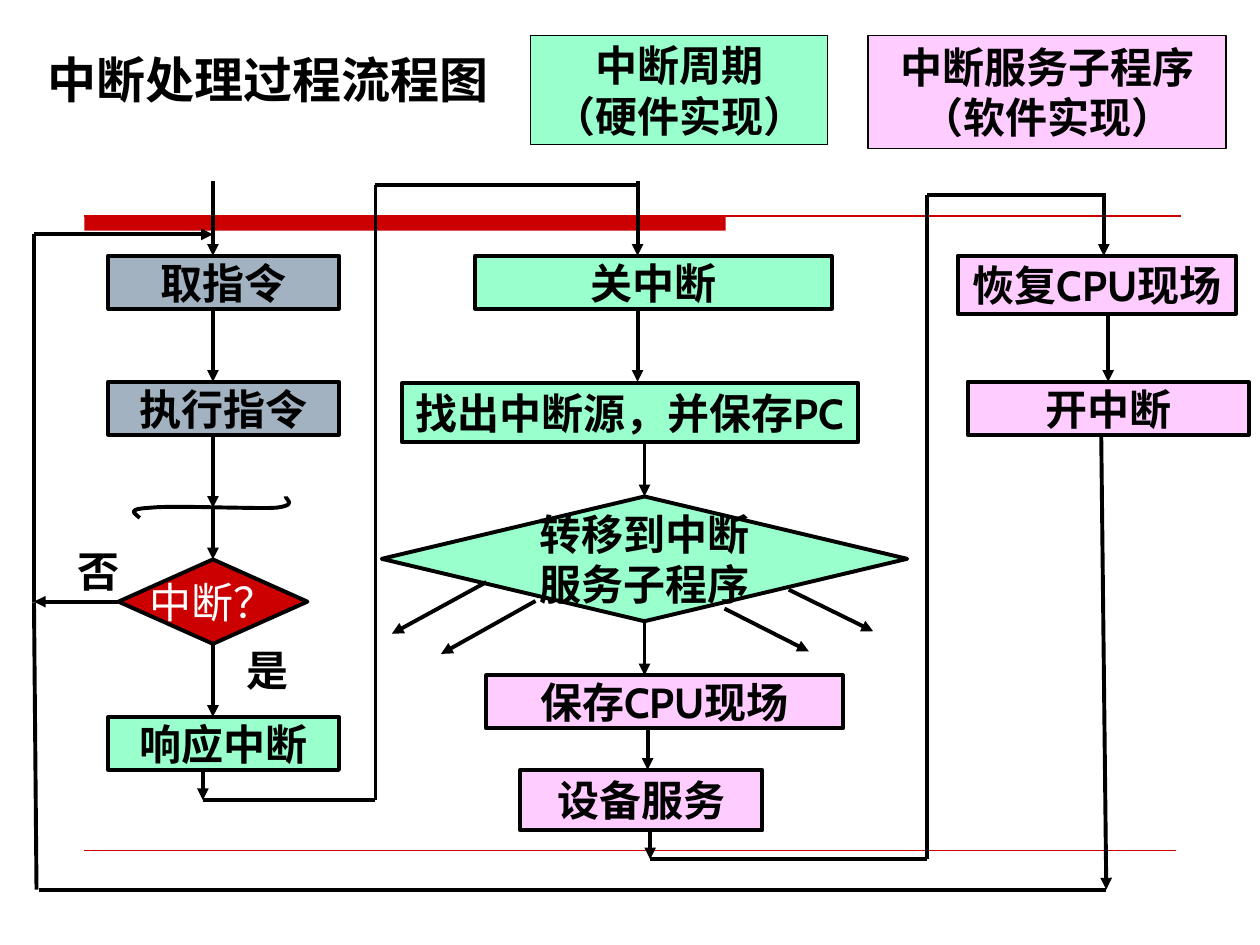
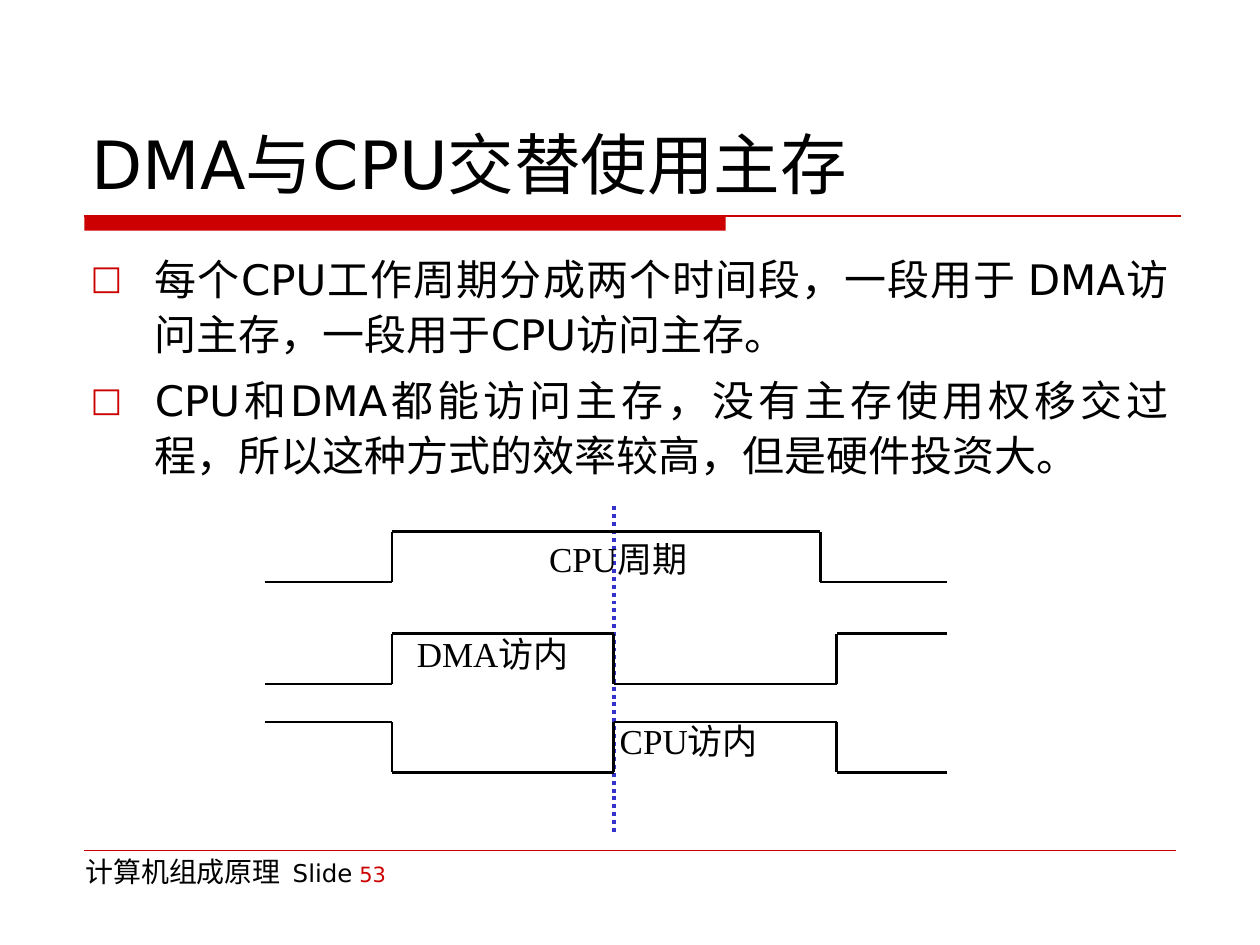
import itertools
from dataclasses import dataclass
from typing import NamedTuple, Optional

import pptx
import pptx.dml.color
import pptx.enum.dml
import pptx.enum.lang
import pptx.enum.shapes
import pptx.enum.text
import pptx.oxml
import pptx.oxml.ns
import pptx.util

RGBColor = pptx.dml.color.RGBColor
Shapes = pptx.enum.shapes.MSO_SHAPE
Align = pptx.enum.text.PP_ALIGN
Anchor = pptx.enum.text.MSO_ANCHOR

# Colours and fonts
BLACK = RGBColor(0x00, 0x00, 0x00)
WHITE = RGBColor(0xFF, 0xFF, 0xFF)
RED = RGBColor(0xCC, 0x00, 0x00)
BLUE = RGBColor(0x33, 0x33, 0xCC)
STEEL = RGBColor(0xA3, 0xB2, 0xC1)
MINT = RGBColor(0x99, 0xFF, 0xCC)
PINK = RGBColor(0xFF, 0xCC, 0xFF)
FLOW_FONT = "Cabin"
HEADING_FONT = "Noto Sans CJK SC"
BODY_FONT = "DejaVu Sans"
SIGNAL_FONT = "Times New Roman"
EAST_ASIAN_FONT = "Cabin"

# Grid: 100 columns by 75 rows of square cells
WIDTH, HEIGHT = pptx.util.Inches(10), pptx.util.Inches(7.5)
COLUMNS, ROWS = 100, 75


def col(n: float) -> int:
    return round(WIDTH * n / COLUMNS)


def row(n: float) -> int:
    return round(HEIGHT * n / ROWS)


class Area(NamedTuple):
    left: float
    top: float
    width: float
    height: float

    def emu(self) -> tuple:
        return col(self.left), row(self.top), col(self.width), row(self.height)


class Piece(NamedTuple):
    text: str
    size: float
    color: RGBColor = BLACK


@dataclass
class Step:
    lines: list
    area: Area
    fill: RGBColor
    kind: int = Shapes.FLOWCHART_PROCESS
    color: RGBColor = BLACK
    bold: bool = True
    border: float = 2.25
    font: str = FLOW_FONT


@dataclass
class Route:
    points: list
    arrow: bool = True
    start: Optional[tuple] = None  # (step key, side)
    end: Optional[tuple] = None


@dataclass
class Signal:
    edges: list
    first_high: bool
    high: float
    label: str
    label_area: Area


# Shared drawing functions
def add_child(parent, tag: str, **attributes):
    child = pptx.oxml.parse_xml(f"<a:{tag} {pptx.oxml.ns.nsdecls('a')}/>")
    for key, value in attributes.items():
        child.set(key, value)
    parent.append(child)
    return child


def write(shape, paragraphs: list, *, size: float = 24, font: str = FLOW_FONT,
          color: RGBColor = BLACK, bold: bool = False, align=Align.LEFT,
          anchor=Anchor.TOP, wrap: bool = True, bullet: str = "",
          spacing: Optional[float] = None, before: float = 0) -> None:
    frame = shape.text_frame
    frame.word_wrap = wrap
    frame.vertical_anchor = anchor
    for number, content in enumerate(paragraphs):
        paragraph = frame.add_paragraph() if number else frame.paragraphs[0]
        paragraph.alignment = align
        if spacing:
            paragraph.line_spacing = spacing
        if number and before:
            paragraph.space_before = pptx.util.Pt(before)
        if bullet:
            props = paragraph._p.get_or_add_pPr()
            props.set("marL", str(col(5.1)))
            props.set("indent", str(-col(5.1)))
            props.set("hangingPunct", "0")
            add_child(add_child(props, "buClr"), "srgbClr", val=str(RED))
            add_child(props, "buSzPct", val="80000")
            add_child(props, "buFont", typeface=BODY_FONT)
            add_child(props, "buChar", char=bullet)
        pieces = [Piece(content, size, color)] if isinstance(content, str) else content
        for piece in pieces:
            run = paragraph.add_run()
            run.text = piece.text
            run.font.size = pptx.util.Pt(piece.size)
            run.font.bold = bold
            run.font.color.rgb = piece.color
            run.font.name = font
            run.font.language_id = pptx.enum.lang.MSO_LANGUAGE_ID.SIMPLIFIED_CHINESE
            add_child(run.font._element, "ea", typeface=EAST_ASIAN_FONT)


def add_text(slide, area: Area, paragraphs: list, **style) -> None:
    write(slide.shapes.add_textbox(*area.emu()), paragraphs, **style)


def add_line(slide, start: tuple, end: tuple, *, color: RGBColor = BLACK,
             weight: float = 2.25, arrow: bool = False, dotted: bool = False):
    line = slide.shapes.add_connector(
        pptx.enum.shapes.MSO_CONNECTOR.STRAIGHT,
        col(start[0]), row(start[1]), col(end[0]), row(end[1]))
    line.line.color.rgb = color
    line.line.width = pptx.util.Pt(weight)
    if dotted:
        line.line.dash_style = pptx.enum.dml.MSO_LINE.ROUND_DOT
    if arrow:
        add_child(line.line._get_or_add_ln(), "tailEnd", type="triangle")
    add_child(line._element.spPr, "effectLst")
    return line


def add_filled(slide, kind: int, area: Area, fill: RGBColor, border: float = 0):
    shape = slide.shapes.add_shape(kind, *area.emu())
    shape.shadow.inherit = False
    shape.fill.solid()
    shape.fill.fore_color.rgb = fill
    if border:
        shape.line.color.rgb = BLACK
        shape.line.width = pptx.util.Pt(border)
    else:
        shape.line.fill.background()
    return shape


def add_base_slide(deck, title: str, area: Area, **style):
    slide = deck.slides.add_slide(deck.slide_layouts[6])
    add_filled(slide, Shapes.RECTANGLE, Area(6.7, 17.1, 50.9, 1.2), RED)
    add_line(slide, (6.7, 17.15), (93.7, 17.15), color=RED, weight=1)
    add_line(slide, (6.7, 67.5), (93.3, 67.5), color=RED, weight=0.25)
    add_text(slide, area, [title], anchor=Anchor.BOTTOM, **style)
    return slide


# Interrupt flowchart
STEPS = {
    "fetch": Step(["取指令"], Area(8.6, 20.3, 18.3, 4.2), STEEL),
    "execute": Step(["执行指令"], Area(8.6, 30.3, 18.3, 4.2), STEEL),
    "check": Step(["中断？"], Area(9.4, 44.4, 15, 6.7), RED,
                  Shapes.FLOWCHART_DECISION, WHITE, False),
    "respond": Step(["响应中断"], Area(8.6, 56.9, 18.3, 4.2), MINT),
    "disable": Step(["关中断"], Area(37.7, 20.3, 28.3, 4.2), MINT),
    "find": Step(["找出中断源，并保存PC"], Area(31.9, 30.4, 36.2, 4.7), MINT),
    "transfer": Step(["转移到中断", "服务子程序"], Area(30.3, 39.4, 41.7, 9.9), MINT,
                     Shapes.FLOWCHART_DECISION),
    "save": Step(["保存CPU现场"], Area(38.6, 53.6, 28.3, 4.2), PINK),
    "serve": Step(["设备服务"], Area(41.3, 61.1, 19.2, 4.8), PINK),
    "restore": Step(["恢复CPU现场"], Area(76, 20.3, 22.1, 4.6), PINK),
    "enable": Step(["开中断"], Area(76.8, 30.3, 22.3, 4.2), PINK),
    "hardware": Step(["中断周期", "（硬件实现）"], Area(42.1, 2.8, 23.6, 8.7), MINT,
                     Shapes.RECTANGLE, border=0.75, font=HEADING_FONT),
    "software": Step(["中断服务子程序", "（软件实现）"], Area(68.9, 2.8, 28.4, 9), PINK,
                     Shapes.RECTANGLE, border=0.75),
}
TOP, LEFT, BOTTOM = 0, 1, 2

ROUTES = [
    # Instruction column
    Route([(16.9, 14.4), (16.9, 20.3)]),
    Route([(16.9, 24.4), (16.9, 30.3)]),
    Route([(16.9, 34.4), (16.9, 40.3)]),
    Route([(16.9, 40.3), (16.9, 44.4)], end=("check", TOP)),
    Route([(16.9, 51.1), (16.9, 56.9)], start=("check", BOTTOM)),
    Route([(9.4, 47.75), (2.7, 47.75)], start=("check", LEFT)),
    # Hardware and service column
    Route([(16.1, 61.1), (16.1, 63.5)]),
    Route([(16.1, 63.5), (29.8, 63.5), (29.8, 14.7), (50.8, 14.7)], arrow=False),
    Route([(50.6, 14.4), (50.6, 20.3)]),
    Route([(50.6, 24.4), (50.6, 30.3)]),
    Route([(51.15, 35.1), (51.15, 39.4)], end=("transfer", TOP)),
    Route([(51.15, 49.3), (51.15, 53.6)], start=("transfer", BOTTOM)),
    Route([(51.4, 57.8), (51.4, 61.1)]),
    # Branches to the other service routines
    Route([(38.6, 46.2), (31.1, 50.3)]),
    Route([(42.5, 47.7), (35, 51.9)]),
    Route([(57.5, 48.3), (64.2, 51.7)]),
    Route([(62.6, 46.8), (69.3, 50.1)]),
    # Return column
    Route([(51.6, 65.8), (51.6, 68.2)]),
    Route([(51.6, 68.2), (73.6, 68.2), (73.6, 15.5), (87.8, 15.5)], arrow=False),
    Route([(87.6, 15.5), (87.6, 20.3)]),
    Route([(87.95, 24.9), (87.95, 30.3)], end=("enable", TOP)),
    Route([(87.4, 34.4), (87.8, 70.6)]),
    Route([(87.8, 70.6), (3.1, 70.6)], arrow=False),
    Route([(2.9, 70.6), (2.7, 47.8), (2.7, 18.6), (16.9, 18.6)]),
]

# Break mark: start point, then cubic curves (control, control, end)
BREAK_START = (11.1, 41.1)
BREAK_CURVES = [
    ((10.6, 40.7), (10.1, 40.4), (11.9, 40.3)),
    ((13.7, 40.1), (20.1, 40.4), (21.9, 40.3)),
    ((23.7, 40.1), (22.6, 39.6), (22.7, 39.4)),
]


def add_break_mark(slide) -> None:
    points, start, count = [], BREAK_START, 12
    for first, second, end in BREAK_CURVES:
        for t in (n / count for n in range(1, count + 1)):
            x, y = ((1 - t) ** 3 * a + 3 * (1 - t) ** 2 * t * b
                    + 3 * (1 - t) * t ** 2 * c + t ** 3 * d
                    for a, b, c, d in zip(start, first, second, end))
            points.append((col(x), row(y)))
        start = end
    builder = slide.shapes.build_freeform(col(BREAK_START[0]), row(BREAK_START[1]))
    builder.add_line_segments(points, close=False)
    mark = builder.convert_to_shape()
    mark.shadow.inherit = False
    mark.fill.background()
    mark.line.color.rgb = BLACK
    mark.line.width = pptx.util.Pt(2.25)


def add_flowchart_slide(deck) -> None:
    slide = add_base_slide(deck, "中断处理过程流程图", Area(2.8, 2.8, 44, 6.3),
                           size=28, font=HEADING_FONT, bold=True)
    drawn = {}
    for key, step in STEPS.items():
        drawn[key] = add_filled(slide, step.kind, step.area, step.fill, step.border)
        write(drawn[key], step.lines, font=step.font, color=step.color, bold=step.bold,
              align=Align.CENTER, anchor=Anchor.MIDDLE,
              wrap=step.kind == Shapes.RECTANGLE)
    add_break_mark(slide)
    for route in ROUTES:
        for start, end in itertools.pairwise(route.points):
            line = add_line(slide, start, end,
                            arrow=route.arrow and end == route.points[-1])
            if route.start:
                line.begin_connect(drawn[route.start[0]], route.start[1])
            if route.end:
                line.end_connect(drawn[route.end[0]], route.end[1])
    for answer, area in (("否", Area(5.2, 42.8, 5, 5)), ("是", Area(17.7, 50.7, 7, 5))):
        add_text(slide, area, [answer], bold=True, align=Align.CENTER)


# DMA timing diagram
SPLIT = 48.7
SWING = 4
LABEL_WIDTH, LABEL_HEIGHT = 17, 4.4
SIGNALS = [
    Signal([21, 31.1, 65.1, 75.2], False, 42.2, "CPU周期",
           Area(42.6, 42.2, LABEL_WIDTH, LABEL_HEIGHT)),
    Signal([21, 31.1, SPLIT, 66.4, 75.2], False, 50.3, "DMA访内",
           Area(32.1, 49.7, LABEL_WIDTH, LABEL_HEIGHT)),
    Signal([21, 31.1, SPLIT, 66.4, 75.2], True, 57.3, "CPU访内",
           Area(48.2, 56.6, LABEL_WIDTH, LABEL_HEIGHT)),
]
POINTS = [
    "每个CPU工作周期分成两个时间段，一段用于 DMA访问主存，一段用于CPU访问主存。",
    "CPU和DMA都能访问主存，没有主存使用权移交过程，所以这种方式的效率较高，但是硬件投资大。",
]
FOOTER = [Piece("计算机组成原理 ", 16), Piece(" Slide", 14), Piece(" ", 12),
          Piece("53", 12, RED)]


def add_signal(slide, signal: Signal) -> None:
    is_high = signal.first_high
    low = signal.high + SWING
    for left, right in itertools.pairwise(signal.edges):
        level = signal.high if is_high else low
        add_line(slide, (left, level), (right, level), weight=1.5)
        if right != signal.edges[-1]:
            add_line(slide, (right, signal.high), (right, low), weight=1.5)
        is_high = not is_high
    add_text(slide, signal.label_area, [signal.label], size=20, font=SIGNAL_FONT)


def add_dma_slide(deck) -> None:
    slide = add_base_slide(deck, "DMA与CPU交替使用主存", Area(6.3, 3.3, 87.5, 13.3),
                           size=38, font=BODY_FONT)
    add_text(slide, Area(5.8, 67.3, 30, 5.2), [FOOTER], font=BODY_FONT)
    add_text(slide, Area(6.2, 19.2, 87.5, 22.5), POINTS, font=BODY_FONT,
             align=Align.JUSTIFY, bullet="□", spacing=1.1, before=6)
    add_line(slide, (SPLIT, 40.2), (SPLIT, 66.3), color=BLUE, dotted=True)
    for signal in SIGNALS:
        add_signal(slide, signal)


def main() -> None:
    deck = pptx.Presentation()
    deck.slide_width, deck.slide_height = WIDTH, HEIGHT
    add_flowchart_slide(deck)
    add_dma_slide(deck)
    deck.save("out.pptx")


if __name__ == "__main__":
    main()
